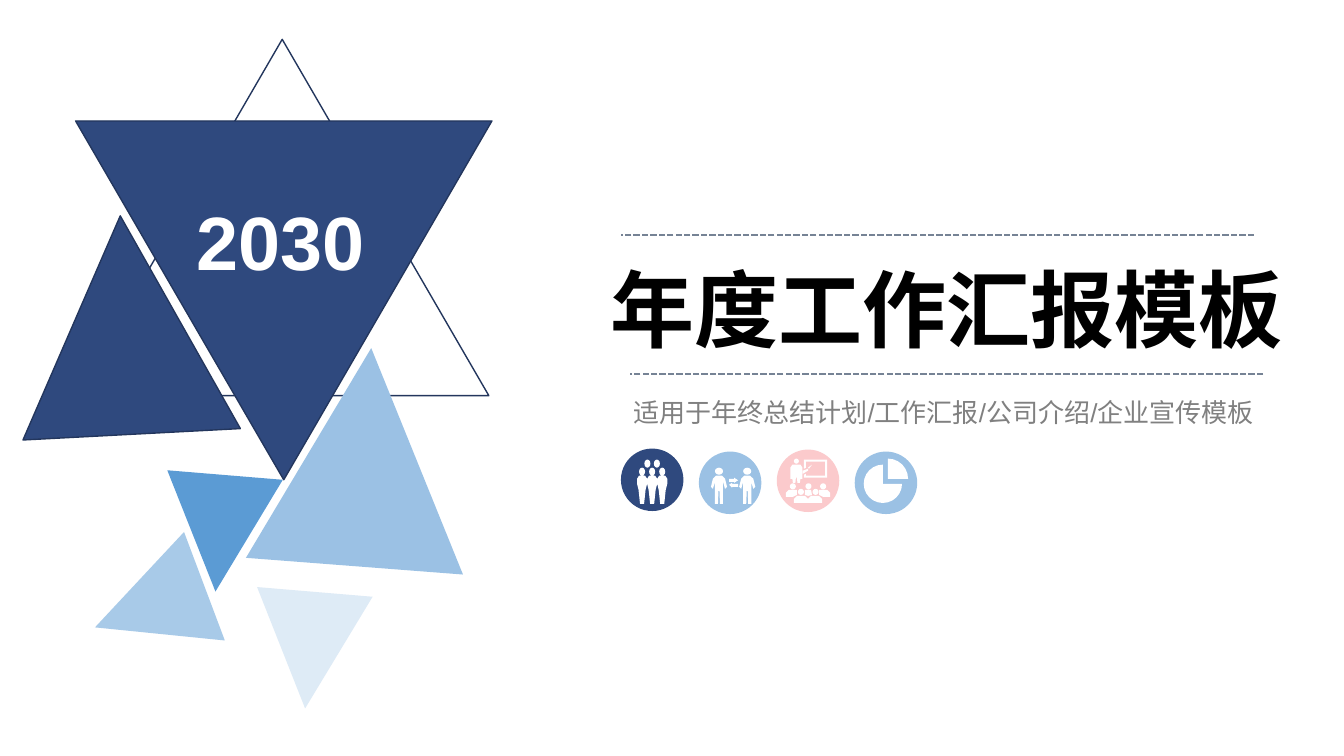
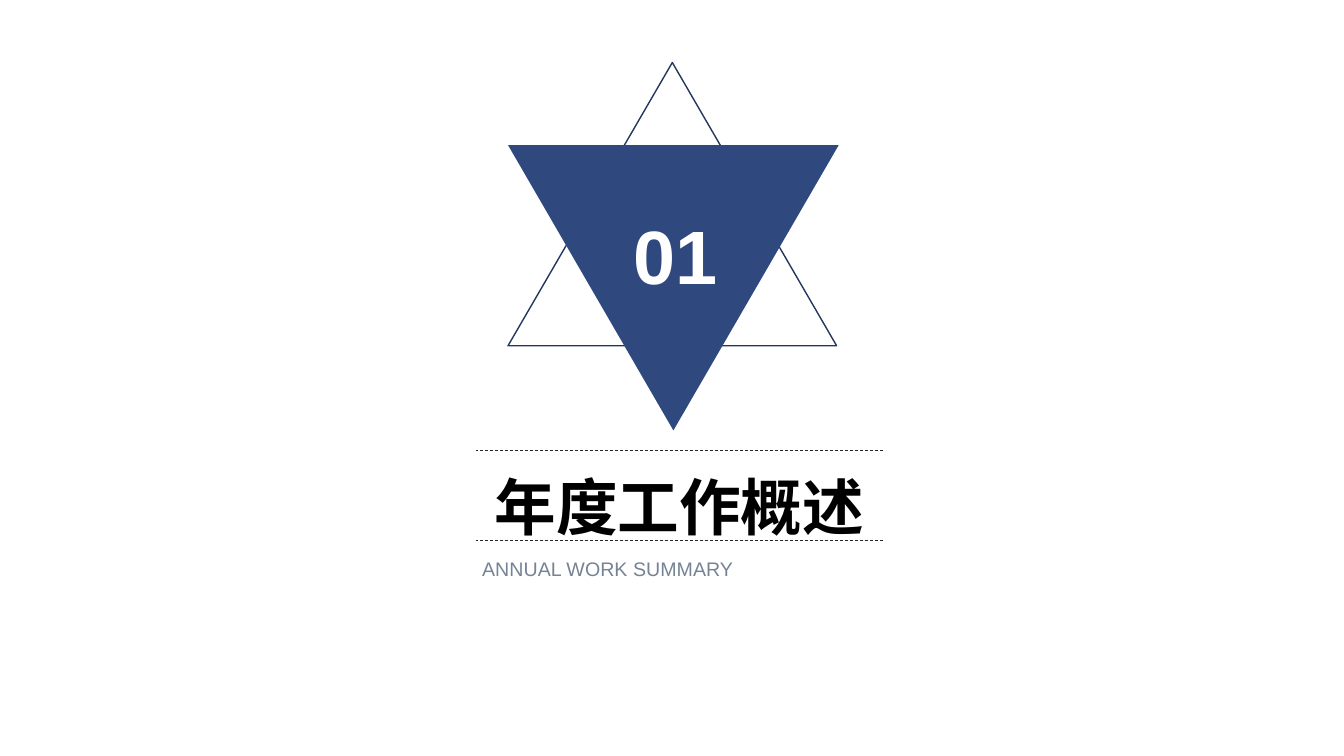
from math import cos, radians, sin

from lxml import etree
from pptx import Presentation
from pptx import util as u
from pptx.dml.color import RGBColor
from pptx.enum import dml, shapes, text
from pptx.oxml.ns import qn

# Shared grid: ten columns and ten rows to the inch
CELL = u.Inches(0.1)
COLS, ROWS = 133.33, 75

NAVY = RGBColor(0x2F, 0x49, 0x7E)
EDGE = RGBColor(0x23, 0x36, 0x5D)
BLUE = RGBColor(0x5B, 0x9B, 0xD4)
SKY = RGBColor(0x9B, 0xC1, 0xE4)
PINK = RGBColor(0xFB, 0xCA, 0xCC)
SLATE = RGBColor(0x76, 0x83, 0x95)
GREY = RGBColor(0x80, 0x80, 0x80)
INK = RGBColor(0x26, 0x26, 0x26)
BLACK = RGBColor(0, 0, 0)
WHITE = RGBColor(0xFF, 0xFF, 0xFF)
FONT = "Arial"
G = shapes.MSO_SHAPE
A = text.PP_ALIGN
DASH = dml.MSO_LINE

prs = Presentation()
prs.slide_width, prs.slide_height = int(COLS * CELL), ROWS * CELL
cover, section = [prs.slides.add_slide(prs.slide_layouts[6]) for _ in range(2)]


def paint(sp, fill=None, line=None, alpha=None):
    """Give a shape its fill and outline, without a shadow."""
    sp.shadow.inherit = False
    if fill is None:
        sp.fill.background()
    else:
        sp.fill.solid()
        sp.fill.fore_color.rgb = fill
    if alpha is not None:
        clr = sp.fill._xPr.find(qn("a:solidFill"))[0]
        etree.SubElement(clr, qn("a:alpha"), val=str(alpha * 1000))
    if line is None:
        sp.line.fill.background()
    else:
        sp.line.color.rgb = line
        sp.line.width = u.Pt(1)
    return sp


def arc(cx, cy, rx, ry, start=0, end=330, step=30):
    """Points along an ellipse, clockwise from the right."""
    angles = [radians(a) for a in range(start, end + 1, step)]
    return [(cx + rx * cos(a), cy + ry * sin(a)) for a in angles]


# Triangles: slide, box, rotation, fill, outline, opacity
for s, box, rot, fill, line, alpha in [
    (cover, (7.5, 3.9, 41, 35.35), 0, None, EDGE, None),
    (cover, (7.5, 12, 41.3, 35.6), 180, NAVY, EDGE, None),
    (cover, (1.7, 21.4, 21.6, 21.7), 357, NAVY, EDGE, None),
    (cover, (25.2, 34.5, 21.6, 21.7), 4.4, SKY, None, None),
    (cover, (16.1, 47.1, 11.5, 11.6), 184.7, BLUE, None, None),
    (cover, (9.1, 54.4, 11.5, 11.6), 249.4, BLUE, None, 53),
    (cover, (25, 58.7, 11.5, 11.6), 184.8, BLUE, None, 20),
    (section, (50.4, 6.2, 32.6, 28.1), 0, None, EDGE, None),
    (section, (50.4, 14.4, 32.8, 28.3), 180, NAVY, None, None),
]:
    sp = s.shapes.add_shape(G.ISOSCELES_TRIANGLE, *[int(v * CELL) for v in box])
    paint(sp, fill, line, alpha).rotation = rot

# Dashed rules above and below each title
for s, x, y, length, color, width, dash in [
    (cover, 61.6, 23.3, 62.8, SLATE, 1.5, DASH.SQUARE_DOT),
    (cover, 62.5, 37.1, 62.8, SLATE, 1.5, DASH.SQUARE_DOT),
    (section, 47.2, 44.7, 40.4, INK, 0.5, DASH.DASH),
    (section, 47.2, 53.6, 40.4, INK, 0.5, DASH.DASH),
]:
    ends = [int(v * CELL) for v in (x + length, y, x, y)]
    ln = s.shapes.add_connector(shapes.MSO_CONNECTOR.STRAIGHT, *ends)
    ln.line.color.rgb = color
    ln.line.width = u.Pt(width)
    ln.line.dash_style = dash
    etree.SubElement(ln._element.spPr, qn("a:effectLst"))

# Texts: slide, box, wording, size, colour, bold, alignment, wrap
labels = {}
for s, box, words, size, color, bold, align, wrap in [
    (cover, (59.25, 25.05, 69.3, 11.1), "年度工作汇报模板", 60, BLACK, True, A.CENTER, False),
    (cover, (15.8, 18.8, 24, 10.1), "2030", 54, WHITE, True, A.CENTER, True),
    (cover, (61.45, 38.8, 64.3, 4.1), "适用于年终总结计划/工作汇报/公司介绍/企业宣传模板",
     18.6, GREY, False, A.CENTER, True),
    (section, (46.8, 44.2, 41.2, 9.4), "年度工作概述", 44, BLACK, True, A.CENTER, True),
    (section, (61.85, 20.25, 19.1, 10.1), "01", 54, WHITE, True, A.LEFT, True),
    (section, (46.85, 53.6, 40.4, 5.6), "ANNUAL WORK SUMMARY", 14, SLATE, False, A.JUSTIFY, True),
]:
    tf = s.shapes.add_textbox(*[int(v * CELL) for v in box]).text_frame
    tf.word_wrap = wrap
    p = tf.paragraphs[0]
    p.text, p.alignment = words, align
    p.font.name, p.font.size, p.font.bold = FONT, u.Pt(size), bold
    p.font.color.rgb = color
    labels[words] = tf
labels["年度工作概述"].paragraphs[0].line_spacing = 1.25
labels["ANNUAL WORK SUMMARY"].vertical_anchor = text.MSO_ANCHOR.MIDDLE

# Icon outlines, in cells from the centre of their disc
crowd = [arc(x, -1.6, 0.3, 0.4) for x in (-0.47, 0.47)]
pair = [
    [(0.8, -0.25), (0.4, -0.5), (0.4, -0.4), (-0.1, -0.4), (-0.1, -0.1), (0.4, -0.1), (0.4, 0)],
    [(-0.1, 0.2), (0.2, 0.5), (0.2, 0.4), (0.8, 0.4), (0.8, 0.1), (0.2, 0.1), (0.2, 0)],
]
lesson = [
    # Board, arm and pointer
    [(-0.4, -1.2), (-0.4, -2.1), (1.9, -2.1), (1.9, -0.3), (-0.4, -0.3), (-0.4, -0.6),
     (-0.2, -0.7), (-0.2, -0.5), (1.7, -0.5), (1.7, -1.9), (-0.2, -1.9), (-0.2, -1.3)],
    [(-0.5, -1), (0, -1.2), (0, -1), (-0.5, -0.7)],
    [(0, -1.3), (0.4, -1.6), (0.1, -1.2)],
    # Middle pupil of the back row
    [(-0.3, 0.9), (0.3, 0.9), (0.4, 1.4), (0, 1.5), (-0.3, 1.4)],
]
for side in (-1, 1):
    for shoulders in (
        [(2.2, 1.6), (2.2, 1.2), (1.9, 0.9), (1.1, 0.9), (1.1, 1.4), (1.5, 1.6)],
        [(1.4, 2.2), (1.4, 1.8), (1.1, 1.5), (0.3, 1.5), (0, 1.8), (0, 2.2)],
    ):
        lesson.append([(side * x, y) for x, y in shoulders])
for x, y in [(-1.5, 0.55), (0.05, 0.55), (1.5, 0.55), (-0.7, 1.1), (0.75, 1.1)]:
    lesson.append(arc(x, y, 0.3, 0.3))
pie = [
    arc(-0.3, 0.1, 1.9, 1.9, 0, 270, 15) + [(-0.3, 0.1)],
    arc(0.2, -0.4, 2, 2, 270, 360, 15) + [(0.2, -0.4)],
]

# Standing figures: a head over a half body mirrored to the left
for icon, offsets, head, rx, ry, half in [
    (crowd, (-1, 0, 1), -0.8, 0.3, 0.4,
     [(0.3, -0.4), (0.5, -0.1), (0.5, 0.4), (0.35, 1), (0.2, 2.4)]),
    (pair, (-1.1, 1.7), -1.15, 0.4, 0.35,
     [(0.3, -0.7), (0.6, -0.4), (0.8, 0.4), (0.6, 0.6), (0.4, -0.1),
      (0.4, 2.1), (0.1, 2.1), (0.05, 0.8)]),
    (lesson, (-1.15,), -1.95, 0.25, 0.25,
     [(0.4, -1.6), (0.6, -1.3), (0.6, -0.2), (0.4, -0.2), (0.35, 0.2), (0.1, 0.2), (0.05, -0.3)]),
]:
    body = half + [(-x, y) for x, y in reversed(half)]
    for dx in offsets:
        icon += [arc(dx, head, rx, ry), [(dx + x, y) for x, y in body]]

# Icons: a disc and one white outline, grouped
DISC, STEP = 6.2, 7.73
for i, (cy, fill, icon) in enumerate([
    (47.6, NAVY, crowd), (47.9, SKY, pair), (47.7, PINK, lesson), (47.9, SKY, pie),
]):
    cx = 64.7 + i * STEP
    grp = cover.shapes.add_group_shape()
    box = (cx - DISC / 2, cy - DISC / 2, DISC, DISC)
    paint(grp.shapes.add_shape(G.OVAL, *[int(v * CELL) for v in box]), fill)
    fb = None
    for contour in icon:
        pts = [(int((cx + x) * CELL), int((cy + y) * CELL)) for x, y in contour]
        if fb is None:
            fb = grp.shapes.build_freeform(*pts[0])
        else:
            fb.move_to(*pts[0])
        fb.add_line_segments(pts[1:])
    paint(fb.convert_to_shape(), WHITE)

prs.save("out.pptx")
